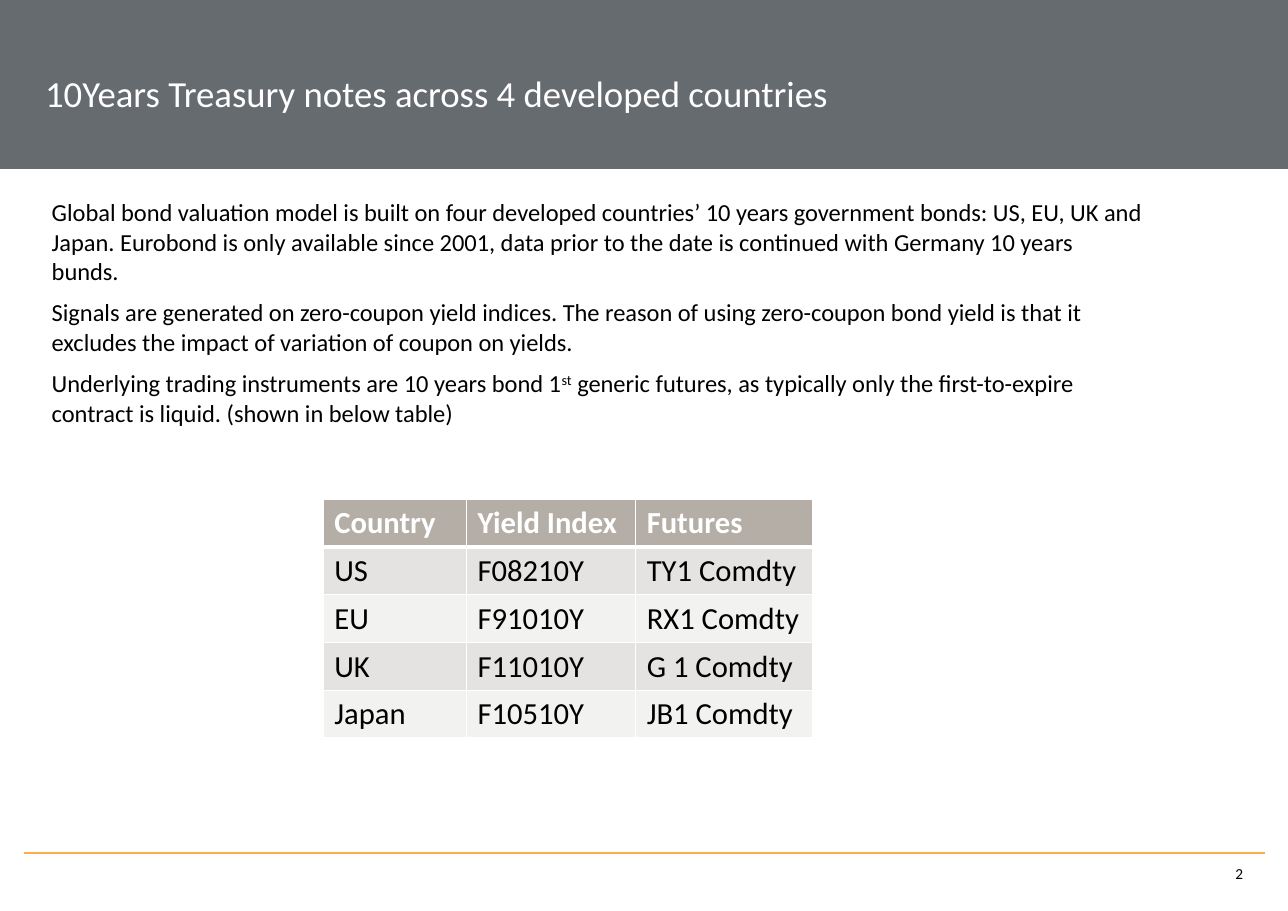
from lxml import etree
from pptx import Presentation
from pptx.dml.color import RGBColor
from pptx.enum.shapes import MSO_CONNECTOR, MSO_SHAPE
from pptx.enum.text import MSO_ANCHOR, PP_ALIGN
from pptx.oxml.ns import qn
from pptx.util import Pt

LEFT, RIGHT = PP_ALIGN.LEFT, PP_ALIGN.RIGHT
TOP, BOTTOM = MSO_ANCHOR.TOP, MSO_ANCHOR.BOTTOM
RECT, STRAIGHT = MSO_SHAPE.RECTANGLE, MSO_CONNECTOR.STRAIGHT

FONT = "Calibri"
WHITE, BLACK, GREY, ORANGE = "FFFFFF", "000000", "666B70", "FBAE49"
HEADER_FILL, BAND_FILLS = "B4AEA7", ("E5E3E1", "F2F2F1")
WIDTH, HEIGHT = 841.68, 595.44

TITLE = "10Years Treasury notes across 4 developed countries"
# Each paragraph is a list of runs; a run in a tuple is superscript.
BODY = [
    ["Global bond valuation model is built on four developed countries’ 10 years "
     "government bonds: US, EU, UK and Japan. Eurobond is only available since 2001, "
     "data prior to the date is continued with Germany 10 years bunds."],
    ["Signals are generated on zero-coupon yield indices. The reason of using "
     "zero-coupon bond yield is that it excludes the impact of variation of coupon "
     "on yields."],
    ["Underlying trading instruments are 10 years bond 1", ("st",),
     " generic futures, as typically only the first-to-expire contract is liquid. "
     "(shown in below table)"],
]
BONDS = [
    ["Country", "Yield Index", "Futures"],
    ["US", "F08210Y", "TY1 Comdty"],
    ["EU", "F91010Y", "RX1 Comdty"],
    ["UK", "F11010Y", "G 1 Comdty"],
    ["Japan", "F10510Y", "JB1 Comdty"],
]


def color(value):
    return RGBColor.from_string(value)


def write(tf, paragraphs, size=16, fill=BLACK, bold=False, align=LEFT,
          gap=0, spacing=None):
    """Fill a text frame; gap is the space before every later paragraph."""
    for i, runs in enumerate(paragraphs):
        p = tf.paragraphs[0] if i == 0 else tf.add_paragraph()
        p.alignment = align
        p.space_before = Pt(gap if i else 0)
        if spacing:
            p.line_spacing = spacing
        for run in runs:
            r = p.add_run()
            r.text = run[0] if isinstance(run, tuple) else run
            r.font.name, r.font.size, r.font.bold = FONT, Pt(size), bold
            r.font.color.rgb = color(fill)
            if isinstance(run, tuple):
                r.font._element.set("baseline", "30000")


def add_text(s, box, paragraphs, inset=0, anchor=TOP, **fmt):
    sp = s.shapes.add_textbox(*map(Pt, box))
    tf = sp.text_frame
    tf.word_wrap = True
    tf.vertical_anchor = anchor
    tf.margin_left = tf.margin_top = tf.margin_right = tf.margin_bottom = Pt(inset)
    write(tf, paragraphs, **fmt)


def add_band(s, height, fill):
    sp = s.shapes.add_shape(RECT, 0, 0, Pt(WIDTH), Pt(height))
    sp.shadow.inherit = False
    sp.fill.solid()
    sp.fill.fore_color.rgb = color(fill)
    sp.line.color.rgb = color(fill)
    sp.line.width = Pt(0.75)


def add_rule(s, x1, x2, y, fill):
    line = s.shapes.add_connector(STRAIGHT, Pt(x1), Pt(y), Pt(x2), Pt(y))
    line.line.color.rgb = color(fill)
    line.line.width = Pt(1.25)
    etree.SubElement(line._element.spPr, qn("a:effectLst"))


def set_borders(cell, widths):
    """Give a cell white borders; must run before its fill is set."""
    tc_pr = cell._tc.get_or_add_tcPr()
    for side, width in widths.items():
        ln = etree.SubElement(tc_pr, qn(f"a:ln{side}"), w=str(Pt(width)))
        solid = etree.SubElement(ln, qn("a:solidFill"))
        etree.SubElement(solid, qn("a:srgbClr"), val=WHITE)


def add_bond_table(s, x, y, col_widths, row_height):
    rows, cols = len(BONDS), len(col_widths)
    table = s.shapes.add_table(rows, cols, Pt(x), Pt(y), Pt(sum(col_widths)),
                               Pt(rows * row_height)).table
    for col, width in zip(table.columns, col_widths):
        col.width = Pt(width)
    for i, values in enumerate(BONDS):
        table.rows[i].height = Pt(row_height)
        header = i == 0
        for j, value in enumerate(values):
            cell = table.cell(i, j)
            set_borders(cell, {"L": 1, "R": 1, "T": 3 if i == 1 else 1,
                               "B": 3 if header else 1})
            cell.fill.solid()
            cell.fill.fore_color.rgb = color(
                HEADER_FILL if header else BAND_FILLS[(i - 1) % 2])
            write(cell.text_frame, [[value]], size=20, bold=header,
                  fill=WHITE if header else BLACK)


def main():
    prs = Presentation()
    prs.slide_width, prs.slide_height = Pt(WIDTH), Pt(HEIGHT)
    s = prs.slides.add_slide(prs.slide_layouts[6])
    add_band(s, 110.2, GREY)
    add_rule(s, 15.8, 826.6, 557.3, ORANGE)
    add_text(s, (29.5, 28, 782.6, 47.5), [[TITLE]], anchor=BOTTOM,
             size=24, fill=WHITE, spacing=0.85)
    add_text(s, (29.5, 124.6, 722.9, 163.4), BODY, inset=4.3, gap=8)
    add_bond_table(s, 211.3, 326.2, (93.6, 110.6, 115.9), 31)
    add_text(s, (787, 565.2, 25.4, 12.2), [["2"]], size=10, align=RIGHT)
    prs.save("out.pptx")


if __name__ == "__main__":
    main()
